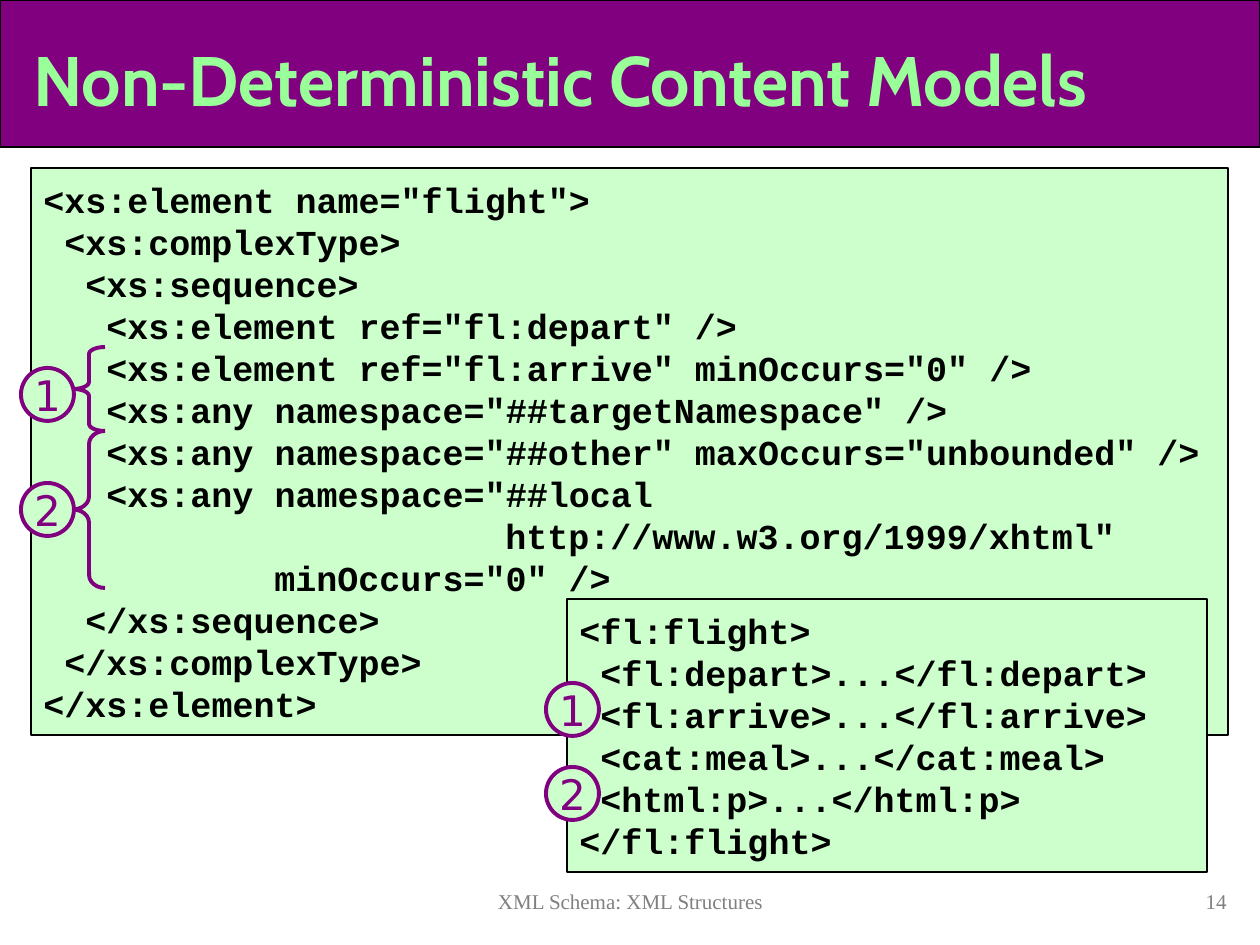
from pptx import Presentation
from pptx.dml.color import RGBColor
from pptx.enum.shapes import MSO_SHAPE
from pptx.enum.text import MSO_ANCHOR, PP_ALIGN
from pptx.util import Emu, Pt

PURPLE, MINT, BLACK, GREY = "800080", "CCFFCC", "000000", "808080"
CHAR = 21


def px(n):
    return Emu(round(n * 914400 / 126))


def color(h):
    return RGBColor.from_string(h)


prs = Presentation()
prs.slide_width, prs.slide_height = px(1260), px(945)
s = prs.slides.add_slide(prs.slide_layouts[6])

schema = [
    (0, '<xs:element name="flight">'),
    (1, '<xs:complexType>'),
    (2, '<xs:sequence>'),
    (3, '<xs:element ref="fl:depart" />'),
    (3, '<xs:element ref="fl:arrive" minOccurs="0" />'),
    (3, '<xs:any namespace="##targetNamespace" />'),
    (3, '<xs:any namespace="##other" maxOccurs="unbounded" />'),
    (3, '<xs:any namespace="##local'),
    (22, 'http://www.w3.org/1999/xhtml"'),
    (11, 'minOccurs="0" />'),
    (2, '</xs:sequence>'),
    (1, '</xs:complexType>'),
    (0, '</xs:element>'),
]
instance = [
    (0, '<fl:flight>'),
    (1, '<fl:depart>...</fl:depart>'),
    (1, '<fl:arrive>...</fl:arrive>'),
    (1, '<cat:meal>...</cat:meal>'),
    (1, '<html:p>...</html:p>'),
    (0, '</fl:flight>'),
]

panels = [
    (0, 0, 1260, 147, PURPLE, []),
    (31, 168, 1197, 567, MINT, schema),
    (567, 599, 640, 273, MINT, instance),
]
for x, y, w, h, fill, lines in panels:
    sp = s.shapes.add_shape(MSO_SHAPE.RECTANGLE, px(x), px(y), px(w), px(h))
    sp.shadow.inherit = False
    sp.fill.solid()
    sp.fill.fore_color.rgb = color(fill)
    sp.line.color.rgb = color(BLACK)
    sp.line.width = Pt(0.75)
    tf = sp.text_frame
    tf.word_wrap = True
    tf.vertical_anchor = MSO_ANCHOR.MIDDLE
    for i, (depth, code) in enumerate(lines):
        p = tf.paragraphs[0] if i == 0 else tf.add_paragraph()
        p.text = code
        p.alignment = PP_ALIGN.LEFT
        pPr = p._p.get_or_add_pPr()
        pPr.set("marL", str(px(depth * CHAR)))
        pPr.set("indent", "0")
        p.font.name = "Courier New"
        p.font.size = Pt(20)
        p.font.bold = True
        p.font.color.rgb = color(BLACK)

for y, h in [(347, 84), (431, 157)]:
    sp = s.shapes.add_shape(MSO_SHAPE.LEFT_BRACE, px(73), px(y), px(32), px(h))
    sp.shadow.inherit = False
    sp.adjustments[0] = h / 12 / 32
    sp.fill.background()
    sp.line.color.rgb = color(PURPLE)
    sp.line.width = Pt(2.25)

for x, y, number in [(21, 368, "1"), (21, 483, "2"), (546, 683, "1"), (546, 767, "2")]:
    sp = s.shapes.add_shape(MSO_SHAPE.OVAL, px(x), px(y), px(53), px(53))
    sp.shadow.inherit = False
    sp.fill.solid()
    sp.fill.fore_color.rgb = color(MINT)
    sp.line.color.rgb = color(PURPLE)
    sp.line.width = Pt(2.25)
    tf = sp.text_frame
    tf.text = number
    tf.word_wrap = False
    tf.vertical_anchor = MSO_ANCHOR.MIDDLE
    p = tf.paragraphs[0]
    p.alignment = PP_ALIGN.CENTER
    r = p.runs[0]
    r.font.name = "DejaVu Sans"
    r.font.size = Pt(24)
    r.font.color.rgb = color(PURPLE)

labels = [
    (21, 21, 1207, 116, "Non-Deterministic Content Models", "Cabin", 40, True,
     "99FF99", PP_ALIGN.LEFT, MSO_ANCHOR.MIDDLE),
    (305, 882, 651, 42, "XML Schema: XML Structures", "Times New Roman", 12, False,
     GREY, PP_ALIGN.CENTER, MSO_ANCHOR.TOP),
    (977, 882, 262, 42, "14", "Times New Roman", 12, False,
     GREY, PP_ALIGN.RIGHT, MSO_ANCHOR.TOP),
]
for x, y, w, h, text, font, size, bold, ink, align, anchor in labels:
    tf = s.shapes.add_textbox(px(x), px(y), px(w), px(h)).text_frame
    tf.text = text
    tf.word_wrap = True
    tf.vertical_anchor = anchor
    p = tf.paragraphs[0]
    p.alignment = align
    r = p.runs[0]
    r.font.name = font
    r.font.size = Pt(size)
    r.font.bold = bold
    r.font.color.rgb = color(ink)

prs.save("out.pptx")
